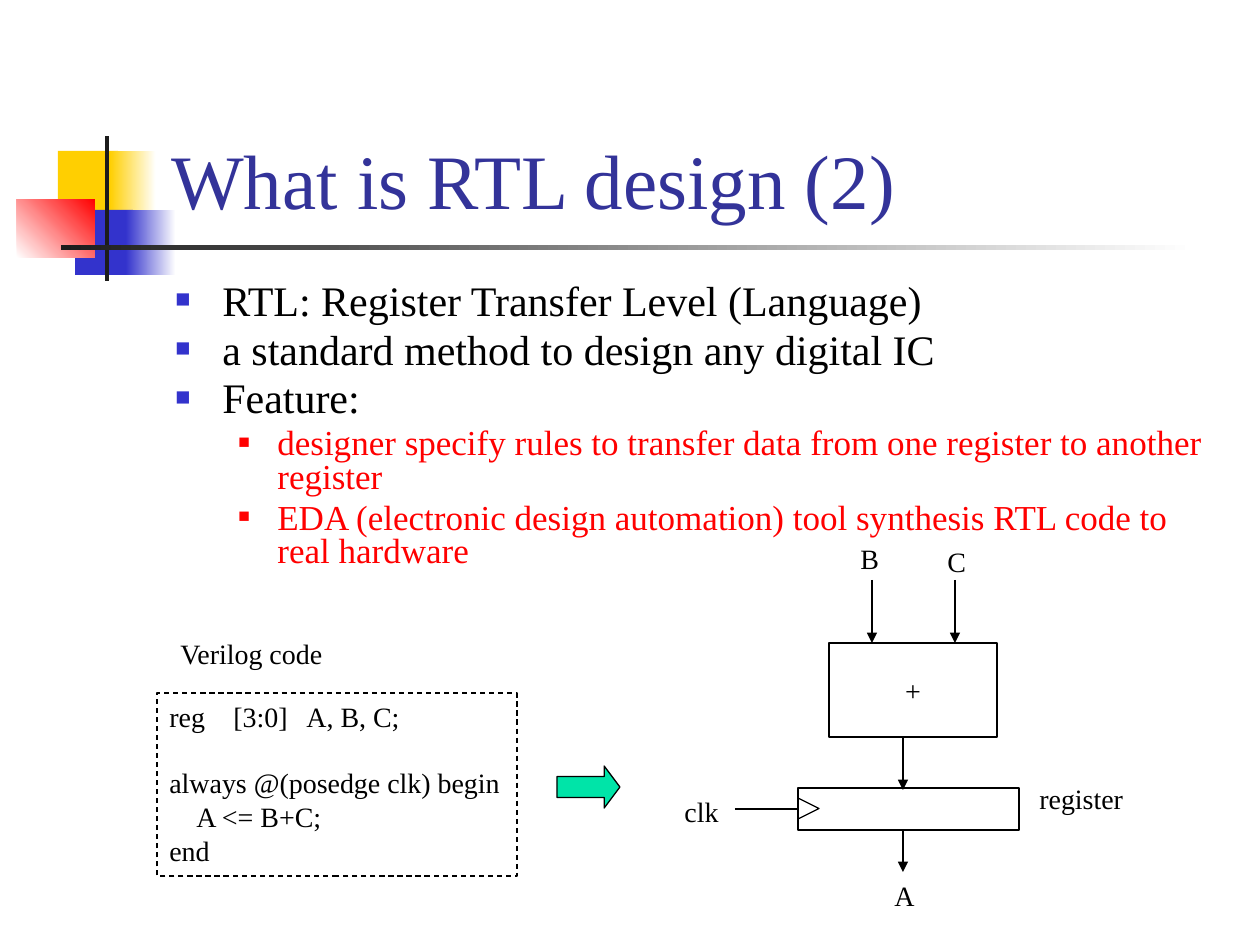
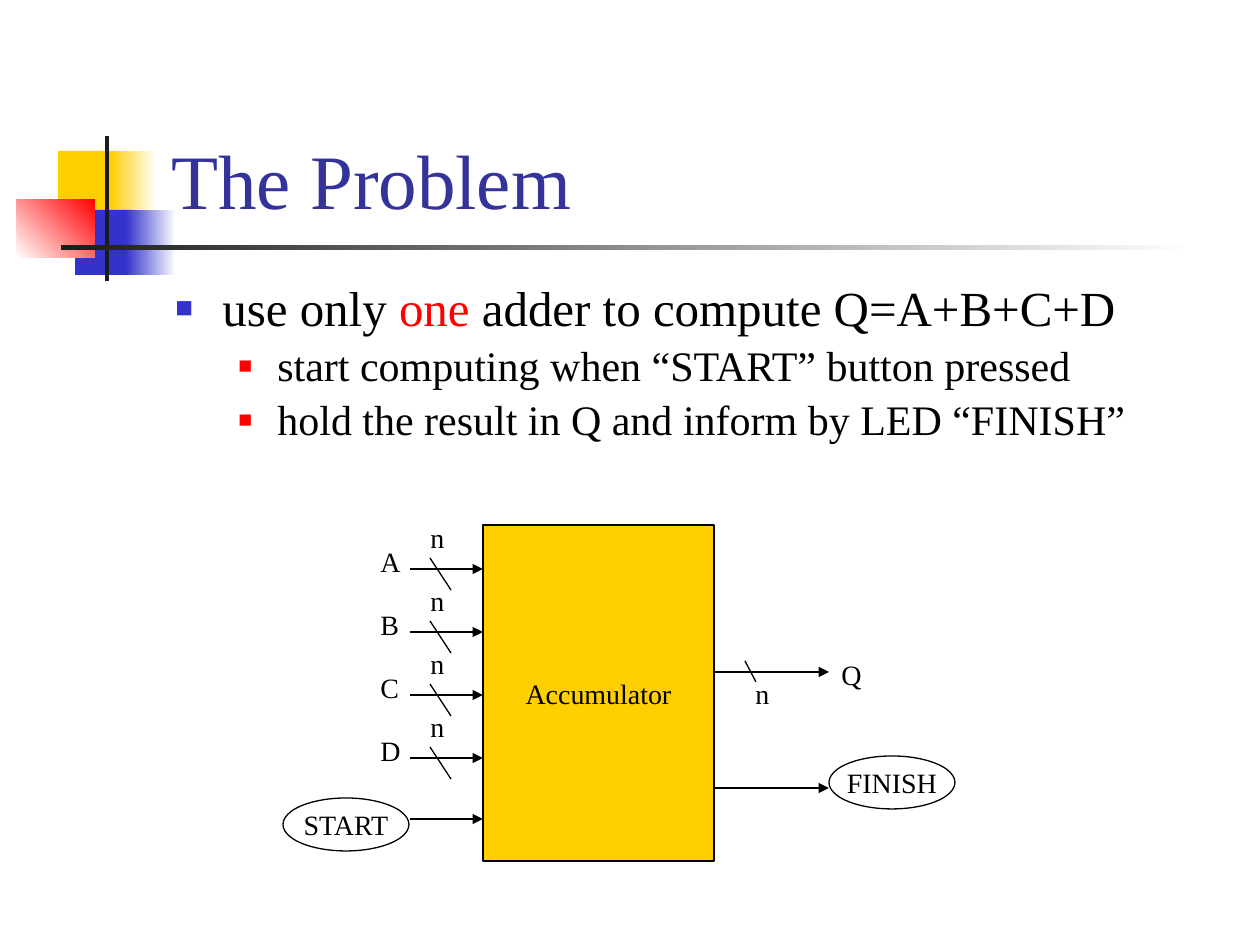
from dataclasses import dataclass
from typing import NamedTuple, Optional

from lxml.etree import SubElement
from pptx import Presentation
from pptx.dml.color import RGBColor
from pptx.enum.dml import MSO_LINE
from pptx.enum.shapes import MSO_CONNECTOR, MSO_SHAPE as Preset
from pptx.enum.text import MSO_ANCHOR as Anchor, PP_ALIGN as Align
from pptx.oxml.ns import qn
from pptx.util import Pt

EMU_PER_PIXEL = 914400 / 126
FONT = "Times New Roman"
COLORS = {
    "black": "000000", "white": "FFFFFF", "title": "333399", "yellow": "FFCF01",
    "blue": "3333CC", "red": "FF0000", "rule": "1C1C1C", "green": "00E4A8",
}


class Area(NamedTuple):
    """A rectangle in pixels."""
    left: int
    top: int
    width: int
    height: int


@dataclass
class Block:
    """A borderless block of the slide decoration; end makes it a gradient."""
    area: Area
    start: str
    end: Optional[str] = None
    angle: int = 0


@dataclass
class Bullet:
    """A body line made of (text, colour) runs."""
    runs: list[tuple[str, str]]
    size: int
    level: int = 0


@dataclass
class Label:
    """A short caption beside a diagram part."""
    text: str
    left: int
    top: int
    width: int = 45


@dataclass
class Wire:
    """A straight diagram line, with an arrowhead at its end if wanted."""
    start: tuple[int, int]
    end: tuple[int, int]
    arrow: bool = True


@dataclass
class BulletStyle:
    """Indents in pixels, colour and relative size of one bullet level."""
    margin: int
    hanging: int
    color: str
    percent: int


BULLET_STYLES = [BulletStyle(47, 47, "blue", 60), BulletStyle(102, 39, "red", 55)]

DECORATION = [
    Block(Area(58, 151, 60, 66), "yellow"),
    Block(Area(110, 151, 46, 66), "yellow", "white"),
    Block(Area(75, 210, 58, 65), "blue"),
    Block(Area(126, 210, 50, 65), "blue", "white"),
    Block(Area(17, 199, 78, 59), "white", "red", 45),
    Block(Area(105, 136, 4, 145), "rule"),
    Block(Area(61, 245, 1134, 5), "rule", "white"),
]


def emu(pixels: float) -> int:
    """Turn pixels into EMU."""
    return round(pixels * EMU_PER_PIXEL)


def rgb(name: str) -> RGBColor:
    """Look up a named colour."""
    return RGBColor.from_string(COLORS[name])


def write(paragraph, text: str, *, size: int = 16, color: str = "black", align=None):
    """Add a formatted run to a paragraph."""
    run = paragraph.add_run()
    run.text = text
    run.font.name = FONT
    run.font.size = Pt(size)
    run.font.color.rgb = rgb(color)
    if align is not None:
        paragraph.alignment = align


def add_box(slide, area: Area, *, preset=Preset.RECTANGLE, fill=None, line="black", text=""):
    """Draw a preset shape, with centred text if given."""
    shape = slide.shapes.add_shape(preset, *map(emu, area))
    shape.shadow.inherit = False
    if fill:
        shape.fill.solid()
        shape.fill.fore_color.rgb = rgb(fill)
    else:
        shape.fill.background()
    if line:
        shape.line.color.rgb = rgb(line)
        shape.line.width = Pt(0.75)
    else:
        shape.line.fill.background()
    if text:
        frame = shape.text_frame
        frame.word_wrap = False
        frame.vertical_anchor = Anchor.MIDDLE
        write(frame.paragraphs[0], text, align=Align.CENTER)
    return shape


def add_block(slide, block: Block):
    """Draw one decoration block."""
    shape = add_box(slide, block.area, fill=block.start, line=None)
    if block.end:
        shape.fill.gradient()
        shape.fill.gradient_angle = block.angle
        for stop, color in zip(shape.fill.gradient_stops, (block.start, block.end)):
            stop.color.rgb = rgb(color)


def add_text_frame(slide, area: Area, wrap: bool, anchor=Anchor.TOP):
    """Add a text box and return its frame."""
    frame = slide.shapes.add_textbox(*map(emu, area)).text_frame
    frame.word_wrap = wrap
    frame.vertical_anchor = anchor
    return frame


def add_labels(slide, labels: list[Label]):
    """Write the captions of a diagram."""
    for label in labels:
        frame = add_text_frame(slide, Area(label.left, label.top, label.width, 46), False)
        write(frame.paragraphs[0], label.text)


def add_wires(slide, wires: list[Wire]):
    """Draw the lines and arrows of a diagram."""
    for wire in wires:
        points = map(emu, (*wire.start, *wire.end))
        connector = slide.shapes.add_connector(MSO_CONNECTOR.STRAIGHT, *points)
        connector.line.color.rgb = rgb("black")
        connector.line.width = Pt(0.75)
        properties = connector.element.spPr
        if wire.arrow:
            SubElement(properties.find(qn("a:ln")), qn("a:tailEnd"), type="triangle")
        SubElement(properties, qn("a:effectLst"))


def format_bullet(paragraph, style: BulletStyle, line_spacing: float):
    """Set spacing, indent and square bullet of a paragraph."""
    paragraph.line_spacing = line_spacing
    properties = paragraph._p.get_or_add_pPr()
    properties.set("marL", str(emu(style.margin)))
    properties.set("indent", str(-emu(style.hanging)))
    before = SubElement(properties, qn("a:spcBef"))
    SubElement(before, qn("a:spcPct"), val="20000")
    color = SubElement(properties, qn("a:buClr"))
    SubElement(color, qn("a:srgbClr"), val=COLORS[style.color])
    SubElement(properties, qn("a:buSzPct"), val=str(style.percent * 1000))
    SubElement(properties, qn("a:buFont"), typeface=FONT)
    SubElement(properties, qn("a:buChar"), char="■")


def add_body(slide, bullets: list[Bullet], height: int, line_spacing: float):
    """Write the bulleted body text."""
    frame = add_text_frame(slide, Area(163, 278, 1071, height), True)
    for index, bullet in enumerate(bullets):
        paragraph = frame.add_paragraph() if index else frame.paragraphs[0]
        paragraph.level = bullet.level
        format_bullet(paragraph, BULLET_STYLES[bullet.level], line_spacing)
        for text, color in bullet.runs:
            write(paragraph, text, size=bullet.size, color=color)


def add_slide(presentation, title: str):
    """Add a blank slide with the shared decoration and a title."""
    slide = presentation.slides.add_slide(presentation.slide_layouts[6])
    for block in DECORATION:
        add_block(slide, block)
    frame = add_text_frame(slide, Area(159, 29, 1074, 202), True, Anchor.BOTTOM)
    write(frame.paragraphs[0], title, size=44, color="title")
    return slide


def add_code(slide):
    """Write the Verilog listing in its dashed frame."""
    box = add_box(slide, Area(157, 693, 360, 183))
    box.line.dash_style = MSO_LINE.DASH
    frame = box.text_frame
    frame.word_wrap = False
    frame.vertical_anchor = Anchor.TOP
    lines = ["reg\t[3:0]\tA, B, C;", "always @(posedge clk) begin", "A <= B+C;", "end"]
    for index, line in enumerate(lines):
        paragraph = frame.add_paragraph() if index else frame.paragraphs[0]
        write(paragraph, line, align=Align.LEFT)
    declaration, process, assignment, _ = frame.paragraphs
    tabs = SubElement(declaration._p.get_or_add_pPr(), qn("a:tabLst"))
    for position in (64, 137):
        SubElement(tabs, qn("a:tab"), pos=str(emu(position)), algn="l")
    process.space_before = Pt(19)
    assignment._p.get_or_add_pPr().set("marL", str(emu(27)))


def build_rtl_slide(presentation):
    """Explain RTL design, from code to hardware."""
    slide = add_slide(presentation, "What is RTL design (2)")
    add_body(slide, [
        Bullet([("RTL: Register Transfer Level (Language)", "black")], 24),
        Bullet([("a standard method to design any digital IC", "black")], 24),
        Bullet([("Feature:", "black")], 24),
        Bullet([("designer specify rules to transfer data from one register"
                 " to another register", "red")], 20, 1),
        Bullet([("EDA (electronic design automation) tool synthesis RTL code"
                 " to real hardware", "red")], 20, 1),
    ], height=320, line_spacing=0.8)
    add_code(slide)
    add_box(slide, Area(829, 643, 168, 94), text="+")
    add_box(slide, Area(798, 788, 221, 42))
    clock_mark = add_box(slide, Area(798, 798, 21, 21), preset=Preset.ISOSCELES_TRIANGLE)
    clock_mark.rotation = 90
    add_wires(slide, [
        Wire((872, 580), (872, 643)),
        Wire((955, 580), (955, 643)),
        Wire((903, 737), (903, 790)),
        Wire((903, 830), (903, 872)),
        Wire((735, 809), (798, 809), arrow=False),
    ])
    add_labels(slide, [
        Label("Verilog code", 168, 630, 171),
        Label("B", 848, 535),
        Label("C", 935, 538),
        Label("A", 882, 872),
        Label("clk", 672, 788, 59),
        Label("register", 1027, 775, 110),
    ])
    arrow = add_box(slide, Area(557, 766, 63, 42), preset=Preset.RIGHT_ARROW, fill="green")
    arrow.adjustments[1] = 0.375


def build_problem_slide(presentation):
    """State the accumulator problem with its inputs and outputs."""
    slide = add_slide(presentation, "The Problem")
    add_body(slide, [
        Bullet([("use only ", "black"), ("one", "red"),
                (" adder to compute Q=A+B+C+D", "black")], 28),
        Bullet([("start computing when “START” button pressed", "black")], 24, 1),
        Bullet([("hold the result in Q and inform by LED “FINISH”", "black")], 24, 1),
    ], height=184, line_spacing=0.9)
    add_box(slide, Area(483, 525, 231, 336), fill="yellow", text="Accumulator")
    for row, name in enumerate("ABCD"):
        top = 514 + 63 * row
        add_wires(slide, [
            Wire((410, top + 55), (483, top + 55)),
            Wire((430, top + 44), (451, top + 76), arrow=False),
        ])
        add_labels(slide, [Label("n", 418, top, 39), Label(name, 368, top + 24)])
    add_wires(slide, [
        Wire((410, 819), (483, 819)),
        Wire((714, 672), (829, 672)),
        Wire((745, 661), (756, 682), arrow=False),
        Wire((714, 788), (829, 788)),
    ])
    add_labels(slide, [Label("n", 743, 670, 39), Label("Q", 829, 651)])
    add_box(slide, Area(283, 798, 126, 53), preset=Preset.OVAL, text="START")
    add_box(slide, Area(829, 756, 126, 53), preset=Preset.OVAL, text="FINISH")


def main():
    """Build and save the presentation."""
    presentation = Presentation()
    presentation.slide_width = emu(1260)
    presentation.slide_height = emu(945)
    build_rtl_slide(presentation)
    build_problem_slide(presentation)
    presentation.save("out.pptx")


main()
